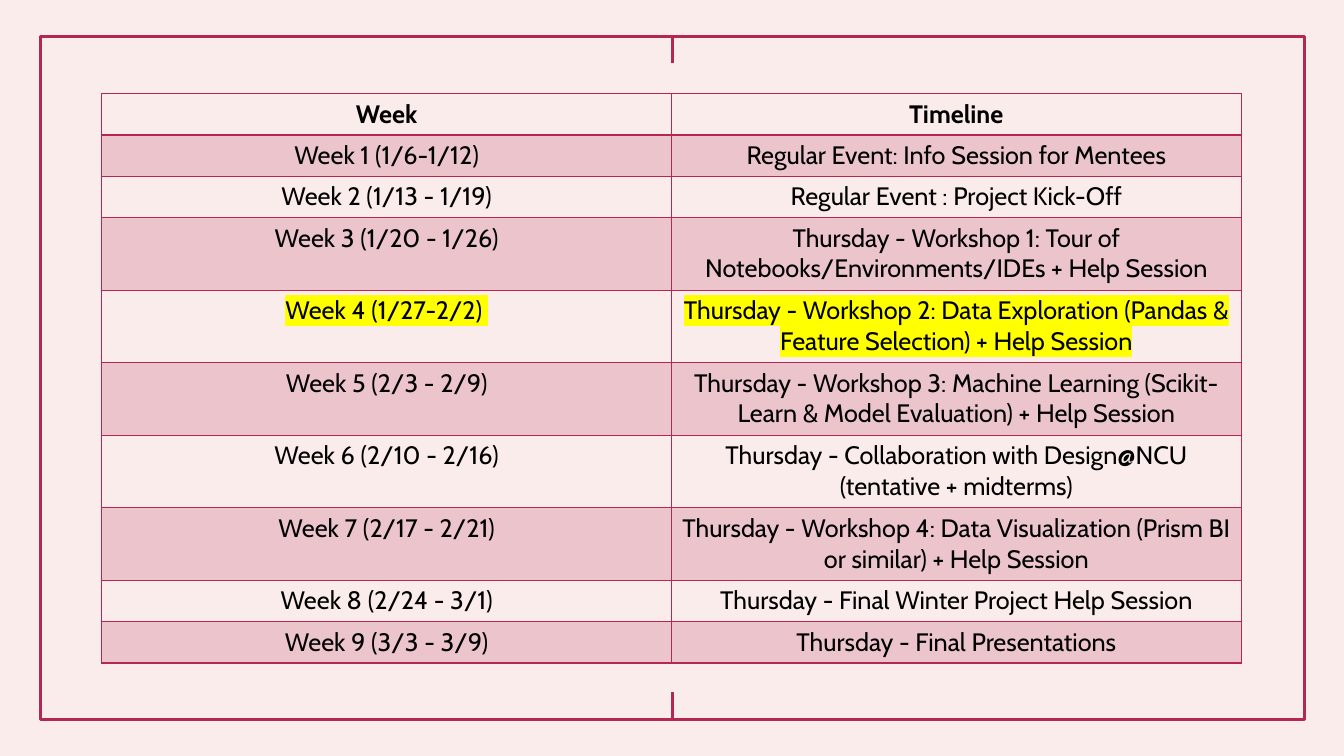
from dataclasses import dataclass

from lxml.etree import SubElement
from pptx import Presentation
from pptx.dml.color import RGBColor
from pptx.enum.shapes import MSO_CONNECTOR as Connector, MSO_SHAPE as Shape
from pptx.enum.text import PP_ALIGN as Align
from pptx.oxml.ns import qn
from pptx.util import Inches, Pt


@dataclass(frozen=True)
class Theme:
    """Colours, font and sizes of the slide."""
    paper: str = "FAECEB"
    accent: str = "B32752"
    ink: str = "000000"
    marker: str = "FFFF00"
    band_alpha: int = 20
    font: str = "Cabin"
    text: int = 18
    frame_line: float = 2.25
    grid_line: int = 1
    header_line: int = 2


THEME = Theme()
HEADINGS = ("Week", "Timeline")
CURRENT_WEEK = 4
SINGLE_ROW, DOUBLE_ROW = 0.41, 0.72
SCHEDULE = [
    ("Week 1 (1/6-1/12)", "Regular Event: Info Session for Mentees", SINGLE_ROW),
    ("Week 2 (1/13 - 1/19)", "Regular Event : Project Kick-Off", SINGLE_ROW),
    ("Week 3 (1/20 - 1/26)",
     "Thursday - Workshop 1: Tour of Notebooks/Environments/IDEs + Help Session", DOUBLE_ROW),
    ("Week 4 (1/27-2/2) ",
     "Thursday - Workshop 2: Data Exploration (Pandas & Feature Selection) + Help Session",
     DOUBLE_ROW),
    ("Week 5 (2/3 - 2/9)",
     "Thursday - Workshop 3: Machine Learning (Scikit-Learn & Model Evaluation) + Help Session",
     DOUBLE_ROW),
    ("Week 6 (2/10 - 2/16)",
     "Thursday - Collaboration with Design@NCU (tentative + midterms)", DOUBLE_ROW),
    ("Week 7 (2/17 - 2/21)",
     "Thursday - Workshop 4: Data Visualization (Prism BI or similar) + Help Session",
     DOUBLE_ROW),
    ("Week 8 (2/24 - 3/1)", "Thursday - Final Winter Project Help Session", SINGLE_ROW),
    ("Week 9 (3/3 - 3/9)", "Thursday - Final Presentations", SINGLE_ROW),
]


def rgb(code):
    """Turn a hex code into a colour."""
    return RGBColor.from_string(code)


def style_line(line):
    """Give a line the frame's colour and width."""
    line.color.rgb = rgb(THEME.accent)
    line.width = Pt(THEME.frame_line)


def add_frame(slide, left, top, width, height, tick=0.27):
    """Draw the border with a short tick at the middle of its top and bottom."""
    border = slide.shapes.add_shape(
        Shape.RECTANGLE, Inches(left), Inches(top), Inches(width), Inches(height))
    border.shadow.inherit = False
    border.fill.background()
    style_line(border.line)
    middle, bottom = Inches(left + width / 2), top + height
    for start, end in ((bottom, bottom - tick), (top + tick, top)):
        mark = slide.shapes.add_connector(
            Connector.STRAIGHT, middle, Inches(start), middle, Inches(end))
        style_line(mark.line)
        SubElement(mark._element.spPr, qn("a:effectLst"))


def add_borders(cell, top, bottom):
    """Rule the four sides of a cell, with the given top and bottom widths."""
    properties = cell._tc.get_or_add_tcPr()
    sides = {"a:lnL": THEME.grid_line, "a:lnR": THEME.grid_line, "a:lnT": top, "a:lnB": bottom}
    for side, width in sides.items():
        rule = SubElement(properties, qn(side), w=str(Pt(width)))
        fill = SubElement(rule, qn("a:solidFill"))
        SubElement(fill, qn("a:srgbClr"), val=THEME.accent)


def fill_band(cell):
    """Tint a cell with the transparent accent colour."""
    cell.fill.solid()
    cell.fill.fore_color.rgb = rgb(THEME.accent)
    tint = cell._tc.tcPr.find(".//" + qn("a:solidFill") + "[last()]/" + qn("a:srgbClr"))
    tint = cell._tc.tcPr.find(qn("a:solidFill")).find(qn("a:srgbClr")) if tint is not None else tint
    SubElement(tint, qn("a:alpha"), val=str(THEME.band_alpha * 1000))


def write_cell(cell, words, bold, marked):
    """Write centred text into a cell, marked if it is the current week."""
    paragraph = cell.text_frame.paragraphs[0]
    paragraph.alignment = Align.CENTER
    font = paragraph.font
    font.name, font.size, font.bold = THEME.font, Pt(THEME.text), bold
    font.color.rgb = rgb(THEME.ink)
    run = paragraph.add_run()
    run.text = words
    if marked:
        highlight = SubElement(run._r.get_or_add_rPr(), qn("a:highlight"))
        SubElement(highlight, qn("a:srgbClr"), val=THEME.marker)


def add_schedule(slide, left, top, width):
    """Place the timeline table, one row a week under a heading row."""
    rows = [(*HEADINGS, SINGLE_ROW), *SCHEDULE]
    height = sum(row[-1] for row in rows)
    table = slide.shapes.add_table(
        len(rows), len(HEADINGS), Inches(left), Inches(top), Inches(width), Inches(height)).table
    table.first_row = table.horz_banding = False
    for column in table.columns:
        column.width = Inches(width / len(HEADINGS))
    for week, (*entries, row_height) in enumerate(rows):
        table.rows[week].height = Inches(row_height)
        above = THEME.header_line if week == 1 else THEME.grid_line
        below = THEME.header_line if week == 0 else THEME.grid_line
        for cell, words in zip(table.rows[week].cells, entries):
            write_cell(cell, words, bold=week == 0, marked=week == CURRENT_WEEK)
            add_borders(cell, above, below)
            if week % 2:
                fill_band(cell)
            else:
                cell.fill.background()


def main():
    """Build and save the timeline slide."""
    deck = Presentation()
    deck.slide_width, deck.slide_height = Inches(13.33), Inches(7.5)
    slide = deck.slides.add_slide(deck.slide_layouts[6])
    slide.background.fill.solid()
    slide.background.fill.fore_color.rgb = rgb(THEME.paper)
    add_frame(slide, 0.4, 0.36, 12.54, 6.78)
    add_schedule(slide, 1.01, 0.93, 11.3)
    deck.save("out.pptx")


if __name__ == "__main__":
    main()
